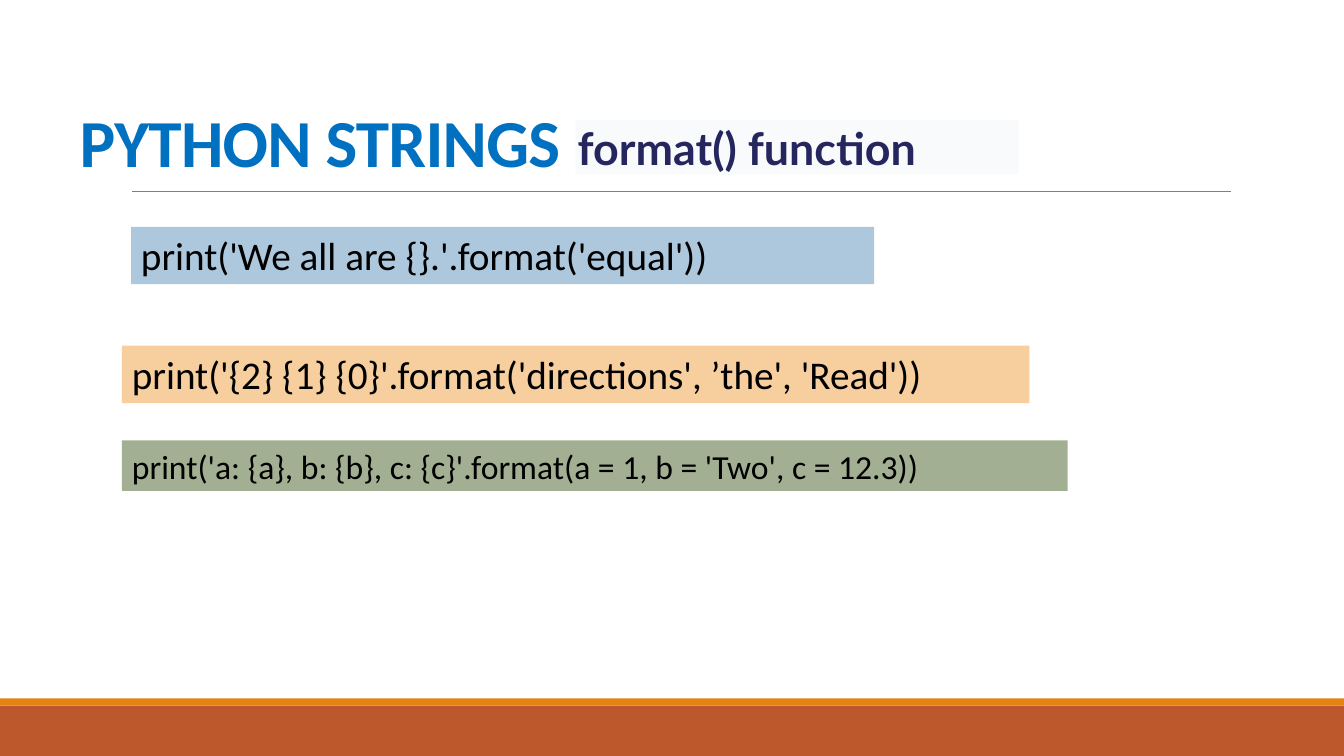
from dataclasses import dataclass

from pptx import Presentation
from pptx.dml.color import RGBColor as RGB
from pptx.enum.shapes import MSO_CONNECTOR as Connector, MSO_SHAPE as Shape
from pptx.enum.text import MSO_ANCHOR as Anchor, MSO_AUTO_SIZE as AutoSize, PP_ALIGN as Align
from pptx.oxml.ns import qn
from pptx.util import Inches, Pt


@dataclass(frozen=True)
class Theme:
    font: str = "Calibri"
    label_font: str = "Lato"
    title: str = "0070C0"
    label: str = "25265E"
    label_fill: str = "F9FAFC"
    code: str = "000000"
    rule: str = "808080"
    footer: str = "BD582C"
    stripe: str = "E48312"
    blue: str = "ADC8DD"
    orange: str = "F7CE9D"
    green: str = "A2AF92"
    title_size: int = 48
    label_size: int = 32
    code_size: int = 28
    small_code_size: int = 24


THEME = Theme()


def add_bar(slide, left, top, width, height, fill):
    """Add a plain filled rectangle without outline or shadow."""
    bar = slide.shapes.add_shape(
        Shape.RECTANGLE, Inches(left), Inches(top), Inches(width), Inches(height))
    bar.shadow.inherit = False
    bar.fill.solid()
    bar.fill.fore_color.rgb = RGB.from_string(fill)
    bar.line.fill.background()
    return bar


def write(frame, text, size, color, font=THEME.font, bold=False, anchor=Anchor.TOP):
    """Set one left-aligned line of text and return its paragraph."""
    frame.text = text
    frame.word_wrap = True
    frame.auto_size = AutoSize.NONE
    frame.vertical_anchor = anchor
    line = frame.paragraphs[0]
    line.alignment = Align.LEFT
    style = line.runs[0].font
    style.name, style.size, style.bold = font, Pt(size), bold
    style.color.rgb = RGB.from_string(color)
    return line


def add_rule(slide, left, right, top):
    rule = slide.shapes.add_connector(
        Connector.STRAIGHT, Inches(left), Inches(top), Inches(right), Inches(top))
    rule.line.color.rgb = RGB.from_string(THEME.rule)
    rule.line.width = Pt(0.5)
    properties = rule._element.spPr
    properties.append(properties.makeelement(qn("a:effectLst"), {}))


def add_title(slide, text):
    title = slide.shapes.title
    title.left, title.top = Inches(0.69), Inches(0.26)
    title.width, title.height = Inches(11), Inches(1.59)
    line = write(title.text_frame, text, THEME.title_size, THEME.title,
                 bold=True, anchor=Anchor.BOTTOM)
    line.line_spacing = 0.85
    # Tighten the letter spacing by half a point
    line.runs[0].font._element.set("spc", "-50")


def add_label(slide, text):
    frame = add_bar(slide, 5.71, 1.19, 4.39, 0.54, THEME.label_fill).text_frame
    frame.margin_left = frame.margin_right = Inches(0.02)
    frame.margin_top = frame.margin_bottom = 0
    write(frame, text, THEME.label_size, THEME.label, THEME.label_font,
          bold=True, anchor=Anchor.MIDDLE)


def add_code(slide, text, left, top, width, height, fill, size=THEME.code_size):
    bar = add_bar(slide, left, top, width, height, fill)
    write(bar.text_frame, text, size, THEME.code)


def main():
    deck = Presentation()
    deck.slide_width, deck.slide_height = Inches(13.33), Inches(7.5)
    slide = deck.slides.add_slide(deck.slide_layouts[5])

    # Footer bands and heading rule
    add_bar(slide, 0, 7, 13.33, 0.5, THEME.footer)
    add_bar(slide, 0, 6.93, 13.33, 0.07, THEME.stripe)
    add_rule(slide, 1.31, 12.21, 1.9)

    # Heading
    add_title(slide, "PYTHON STRINGS")
    add_label(slide, "format() function")

    # Code examples
    add_code(slide, "print('We all are {}.'.format('equal'))",
             1.3, 2.25, 7.37, 0.57, THEME.blue)
    add_code(slide, "print('{2} {1} {0}'.format('directions', ’the', 'Read'))",
             1.21, 3.43, 9, 0.57, THEME.orange)
    add_code(slide, "print('a: {a}, b: {b}, c: {c}'.format(a = 1, b = 'Two', c = 12.3))",
             1.21, 4.37, 9.38, 0.5, THEME.green, THEME.small_code_size)

    deck.save("out.pptx")


main()
